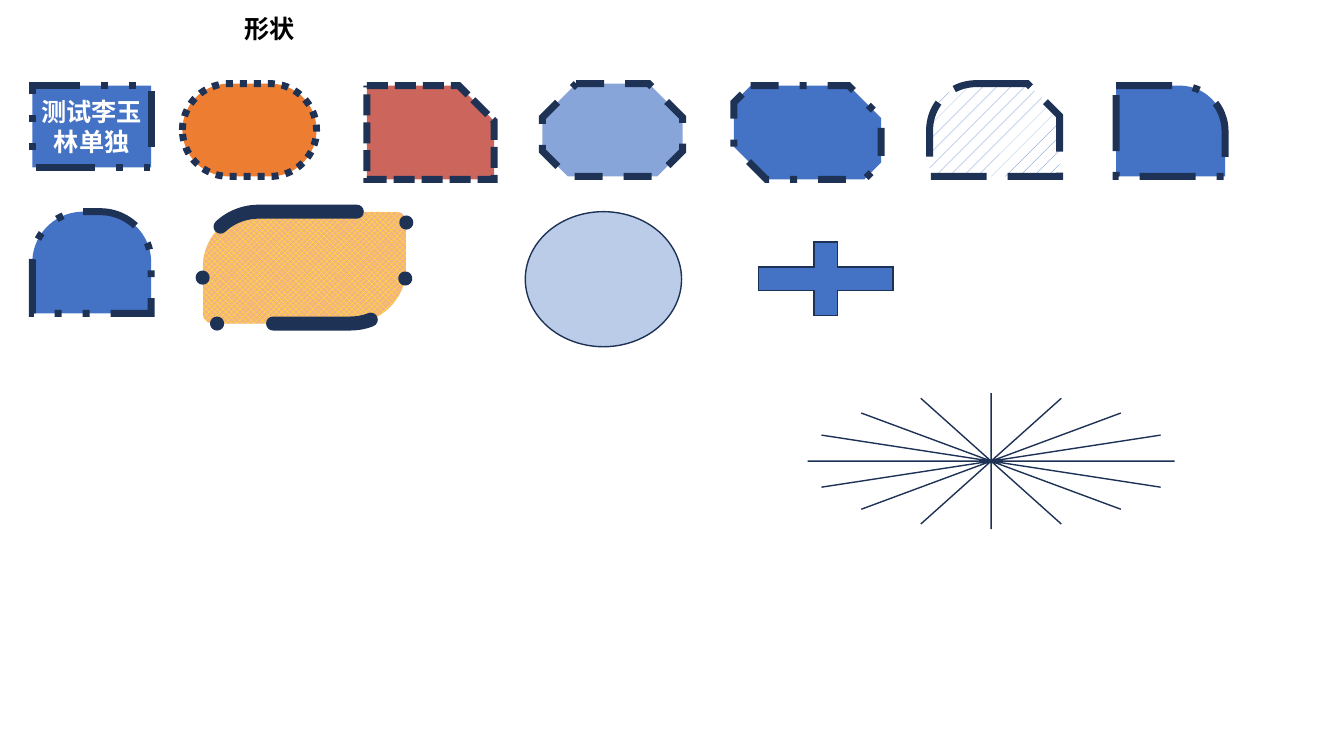
import pptx
import pptx.dml.color
import pptx.enum.dml
import pptx.enum.shapes
import pptx.enum.text
import pptx.oxml.ns
import pptx.util
import lxml.etree

Inches = pptx.util.Inches
SHAPE = pptx.enum.shapes.MSO_SHAPE
DASH = pptx.enum.dml.MSO_LINE
PATTERN = pptx.enum.dml.MSO_PATTERN
ALIGN = pptx.enum.text.PP_ALIGN
ANCHOR = pptx.enum.text.MSO_ANCHOR
FONT = "Noto Sans CJK SC"
NAVY = "1E3256"
BLUE = "4472C4"


def colour(value):
    return pptx.dml.color.RGBColor.from_string(value)


def add_child(parent, tag, **attributes):
    return lxml.etree.SubElement(parent, pptx.oxml.ns.qn(tag), **attributes)


def write_text(frame, text, size=18, ink="000000", align=ALIGN.LEFT, anchor=ANCHOR.TOP,
               wrap=True, inset=None):
    frame.word_wrap = wrap
    frame.vertical_anchor = anchor
    if inset is not None:
        frame.margin_left = frame.margin_right = Inches(inset)
        frame.margin_top = frame.margin_bottom = Inches(inset)
    para = frame.paragraphs[0]
    para.alignment = align
    span = para.add_run()
    span.text = text
    span.font.size = pptx.util.Pt(size)
    span.font.bold = True
    span.font.name = FONT
    span.font.color.rgb = colour(ink)
    add_child(span.font._element, "a:ea", typeface=FONT)


def paint(shape, fill, alpha=None, pattern=None, back=None):
    if pattern:
        shape.fill.patterned()
        shape.fill.pattern = pattern
        shape.fill.fore_color.rgb = colour(fill)
        shape.fill.back_color.rgb = colour(back)
        return
    shape.fill.solid()
    shape.fill.fore_color.rgb = colour(fill)
    if alpha:
        tint = shape._element.spPr.find(".//" + pptx.oxml.ns.qn("a:srgbClr"))
        add_child(tint, "a:alpha", val=str(alpha * 1000))


def add_figure(page, kind, box, fill=BLUE, adjust=(), dash=None, weight=5, cap="flat",
               **fill_format):
    shape = page.shapes.add_shape(kind, *(Inches(length) for length in box))
    shape.shadow.inherit = False
    for index, value in enumerate(adjust):
        shape.adjustments[index] = value
    paint(shape, fill, **fill_format)
    shape.line.color.rgb = colour(NAVY)
    shape.line.width = pptx.util.Pt(weight)
    if dash:
        shape.line.dash_style = dash
    outline = shape.line._get_or_add_ln()
    outline.set("cap", cap)
    add_child(outline, "a:miter", lim="800000")
    return shape


def place_title(page, left, top, width, height):
    title = page.shapes.title
    title.left, title.top = Inches(left), Inches(top)
    title.width, title.height = Inches(width), Inches(height)
    write_text(title.text_frame, "形状", wrap=False)
    title.text_frame.auto_size = pptx.enum.text.MSO_AUTO_SIZE.SHAPE_TO_FIT_TEXT


def place_top_row(page, left, top):
    low = top + 0.02
    label = add_figure(page, SHAPE.RECTANGLE, (left, low, 1.18, 0.81),
                       dash=DASH.DASH_DOT_DOT)
    write_text(label.text_frame, "测试李玉林单独", ink="FFFFFF", align=ALIGN.CENTER,
               anchor=ANCHOR.MIDDLE, inset=0)
    add_figure(page, SHAPE.ROUNDED_RECTANGLE, (left + 1.49, top, 1.33, 0.92), "ED7D31",
               adjust=[0.5], dash=DASH.ROUND_DOT)
    add_figure(page, SHAPE.SNIP_1_RECTANGLE, (left + 3.32, low, 1.26, 0.93), "CC655B",
               adjust=[0.376], dash=DASH.SQUARE_DOT)
    add_figure(page, SHAPE.SNIP_2_SAME_RECTANGLE, (left + 5.06, top, 1.39, 0.92),
               adjust=[0.364, 0.273], dash=DASH.DASH, alpha=63)
    add_figure(page, SHAPE.SNIP_2_DIAG_RECTANGLE, (left + 6.96, low, 1.46, 0.93),
               adjust=[0.179, 0.346], dash=DASH.DASH_DOT)
    add_figure(page, SHAPE.SNIP_ROUND_RECTANGLE, (left + 8.9, top, 1.29, 0.92),
               adjust=[0.5, 0.348], dash=DASH.LONG_DASH,
               pattern=PATTERN.PERCENT_5, back="FFFFFF")
    add_figure(page, SHAPE.ROUND_1_RECTANGLE, (left + 10.75, low, 1.08, 0.9),
               adjust=[0.5], dash=DASH.LONG_DASH_DOT)


def place_middle_row(page, left, top):
    add_figure(page, SHAPE.ROUND_2_SAME_RECTANGLE, (left, top, 1.18, 1.01),
               adjust=[0.5, 0], dash=DASH.DASH_DOT_DOT)
    add_figure(page, SHAPE.ROUND_2_DIAG_RECTANGLE, (left + 1.69, top, 2.02, 1.11), "FFFF00",
               adjust=[0.5, 0.087], dash=DASH.DASH_DOT_DOT, weight=10, cap="rnd",
               pattern=PATTERN.SOLID_DIAMOND, back="F4B183")
    add_figure(page, SHAPE.OVAL, (left + 4.89, top, 1.55, 1.34), weight=1, alpha=36)
    add_figure(page, SHAPE.MATH_PLUS, (left + 6.96, top + 0.17, 1.82, 0.99), weight=1)


def place_star(page, left, top, width, height):
    add_figure(page, SHAPE.STAR_16_POINT, (left, top, width, height), adjust=[0], weight=1)


def main():
    deck = pptx.Presentation()
    deck.slide_width, deck.slide_height = Inches(13.33), Inches(7.5)
    page = deck.slides.add_slide(deck.slide_layouts.get_by_name("Title Only"))
    place_title(page, 2.32, 0.08, 0.71, 0.4)
    place_top_row(page, 0.32, 0.83)
    place_middle_row(page, 0.32, 2.1)
    place_star(page, 8.01, 3.9, 3.64, 1.35)
    deck.save("out.pptx")


if __name__ == "__main__":
    main()
